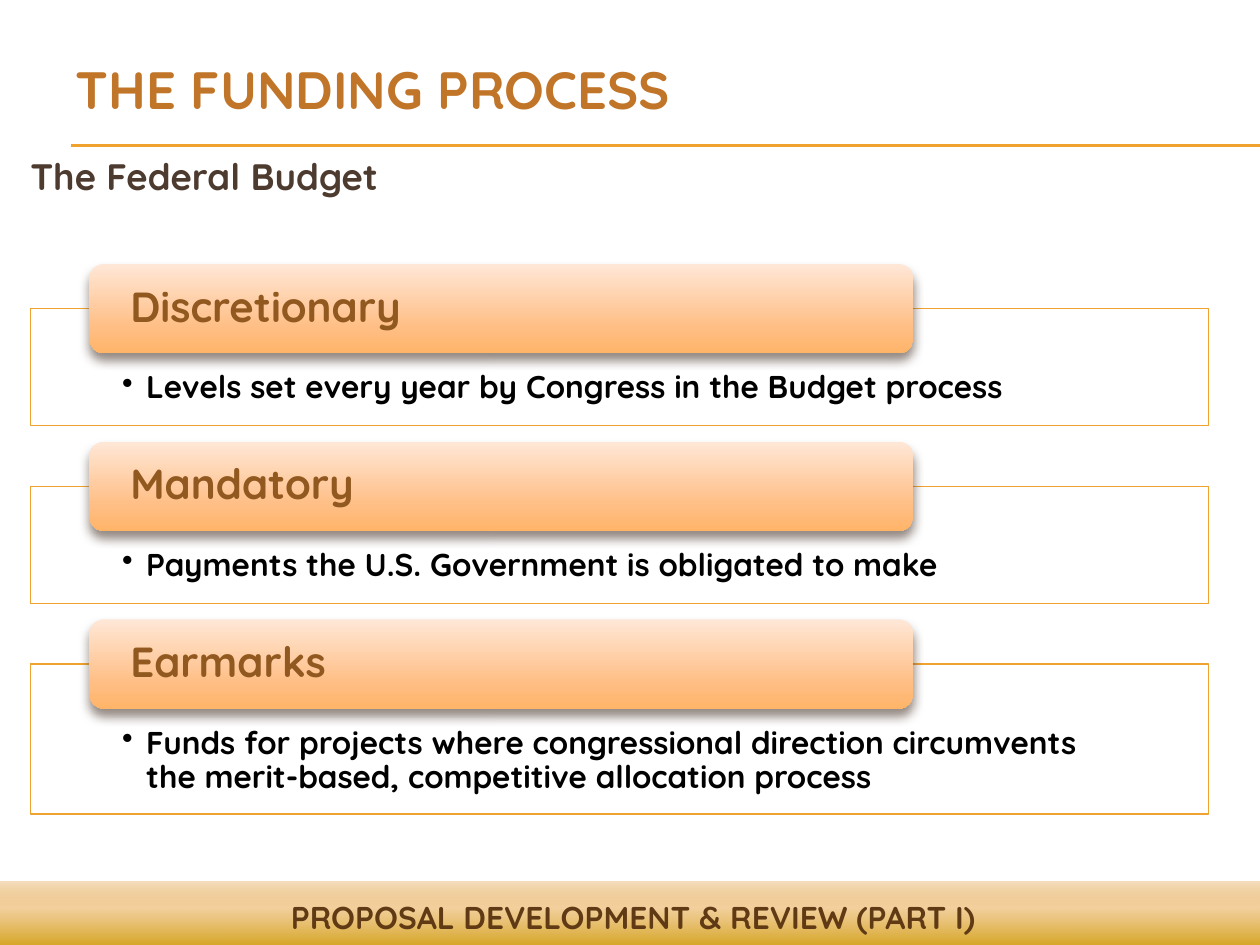
from dataclasses import dataclass
from typing import Any, NamedTuple

from lxml import etree
from pptx import Presentation
from pptx.dml.color import RGBColor
from pptx.enum.shapes import MSO_CONNECTOR, MSO_SHAPE
from pptx.enum.text import MSO_ANCHOR, MSO_AUTO_SIZE, PP_ALIGN
from pptx.oxml.ns import qn
from pptx.util import Inches, Pt

RECT, ROUND = MSO_SHAPE.RECTANGLE, MSO_SHAPE.ROUNDED_RECTANGLE
LINE = MSO_CONNECTOR.STRAIGHT
TOP, MID, LOW = MSO_ANCHOR.TOP, MSO_ANCHOR.MIDDLE, MSO_ANCHOR.BOTTOM
LEFT, MIDST = PP_ALIGN.LEFT, PP_ALIGN.CENTER
FIXED = MSO_AUTO_SIZE.NONE

# The slide is a grid of 100 columns by 75 rows
WIDE, HIGH = Inches(10), Inches(7.5)
COLS, ROWS = 100, 75


@dataclass(frozen=True)
class Theme:
    font: str = "Quicksand"
    gold: str = "F0A22E"
    title: str = "C17529"
    brown: str = "4E3B30"
    foot: str = "603A14"
    head: str = "91581F"
    ink: str = "000000"
    paper: str = "FFFFFF"
    title_pt: int = 30
    sub_pt: int = 21
    head_pt: int = 24
    text_pt: int = 18


class Box(NamedTuple):
    left: float
    top: float
    width: float
    height: float


class Stop(NamedTuple):
    pos: int
    color: str
    alpha: int = 100


class Card(NamedTuple):
    head: str
    text: str
    rows: float


THEME = Theme()
BAND = [Stop(0, "CC9900"), Stop(65, "EFC17E", 75), Stop(100, "D68000", 25)]
PEACH = [Stop(0, "FFE7D7"), Stop(72, "FFBE84"), Stop(100, "FFB468")]
CARDS = [
    Card("Discretionary", "Levels set every year by Congress in the Budget process", 9.3),
    Card("Mandatory", "Payments the U.S. Government is obligated to make", 9.3),
    Card("Earmarks", "Funds for projects where congressional direction circumvents "
         "the merit-based, competitive allocation process", 11.9),
]
FIRST, GAP, RISE = 24.5, 4.8, 3.55


def col(n: float) -> int:
    return round(WIDE * n / COLS)


def row(n: float) -> int:
    return round(HIGH * n / ROWS)


def spot(box: Box) -> tuple[int, int, int, int]:
    return col(box.left), row(box.top), col(box.width), row(box.height)


def apply(item: Any, **values: Any) -> None:
    for name, value in values.items():
        setattr(item, name, value)


def node(parent: Any, tag: str, **attrs: Any) -> Any:
    texts = {name: str(value) for name, value in attrs.items()}
    return etree.SubElement(parent, qn(tag), texts)


def tint(parent: Any, color: str, alpha: int) -> None:
    node(node(parent, "a:srgbClr", val=color), "a:alpha", val=alpha * 1000)


def blend(shape: Any, stops: list[Stop], angle: int) -> None:
    """Fill a shape with a linear gradient."""
    shape.fill.gradient()
    grad = shape.fill._xPr.find(qn("a:gradFill"))
    for child in list(grad):
        grad.remove(child)
    group = node(grad, "a:gsLst")
    for stop in stops:
        tint(node(group, "a:gs", pos=stop.pos * 1000), stop.color, stop.alpha)
    node(grad, "a:lin", ang=angle * 60000, scaled=0)


def block(slide: Any, kind: Any, box: Box) -> Any:
    shape = slide.shapes.add_shape(kind, *spot(box))
    shape.shadow.inherit = False
    shape.line.fill.background()
    return shape


def write(shape: Any, text: str, size: int, color: str, anchor: Any = TOP,
          align: Any = LEFT, pads: tuple = (1, 0.5, 1, 0.5), **form: Any) -> Any:
    """Set one styled paragraph, with insets in grid cells."""
    frame = shape.text_frame
    frame.text = text
    left, top, right, low = pads
    apply(frame, word_wrap=True, auto_size=FIXED, vertical_anchor=anchor,
          margin_left=col(left), margin_top=row(top),
          margin_right=col(right), margin_bottom=row(low))
    para = frame.paragraphs[0]
    apply(para, alignment=align, space_before=Pt(0), **form)
    font = para.runs[0].font
    apply(font, name=THEME.font, size=Pt(size), bold=True)
    font.color.rgb = RGBColor.from_string(color)
    return para


def indent(para: Any, left: float, first: float, mark: str = "") -> None:
    props = para._p.get_or_add_pPr()
    props.set("marL", str(col(left)))
    props.set("indent", str(col(first)))
    if mark:
        node(props, "a:buChar", char=mark)
    else:
        node(props, "a:buNone")


def rule(slide: Any, top: float) -> None:
    line = slide.shapes.add_connector(LINE, col(5.6), row(top), col(COLS), row(top))
    line.line.color.rgb = RGBColor.from_string(THEME.gold)
    line.line.width = Pt(0.75)
    node(line._element.spPr, "a:effectLst")


def panel(slide: Any, card: Card, top: float) -> None:
    # Outlined box with the bullet
    body = block(slide, RECT, Box(2.4, top, 93.5, card.rows))
    body.fill.solid()
    body.fill.fore_color.rgb = RGBColor.from_string(THEME.paper)
    paint = body.fill._xPr.find(qn("a:solidFill"))
    node(paint[0], "a:alpha", val=90000)
    body.line.color.rgb = RGBColor.from_string(THEME.gold)
    body.line.width = Pt(0.79)
    para = write(body, card.text, THEME.text_pt, THEME.ink,
                 pads=(7.3, 5, 7.3, 1.4), level=1, line_spacing=0.9)
    indent(para, 1.9, -1.9, "•")

    # Raised heading tab
    tab = block(slide, ROUND, Box(7.1, top - RISE, 65.4, 7.1))
    blend(tab, PEACH, 90)
    glow = node(tab._element.spPr.find(qn("a:effectLst")), "a:outerShdw",
                blurRad=Pt(6), dist=Pt(4), dir=90 * 60000, rotWithShape=0)
    tint(glow, THEME.brown, 60)
    write(tab, card.head, THEME.head_pt, THEME.head, MID,
          pads=(2.9, 0, 2.9, 0), line_spacing=0.9)


def main() -> None:
    deck = Presentation()
    apply(deck, slide_width=WIDE, slide_height=HIGH)
    slide = deck.slides.add_slide(deck.slide_layouts[1])

    # Rules under the title and footer band
    for top in (11.5, 11.6):
        rule(slide, top)
    band = block(slide, RECT, Box(-0.1, 70, 100.3, 5.8))
    blend(band, BAND, 270)
    foot = slide.shapes.add_textbox(*spot(Box(1.5, 70.8, 97.5, 4)))
    write(foot, "PROPOSAL DEVELOPMENT & REVIEW (PART I)", THEME.text_pt,
          THEME.foot, align=MIDST)

    # Title and subtitle
    title, sub = slide.shapes.title, slide.placeholders[1]
    for shape, box in ((title, Box(5, 3, 88.3, 7)), (sub, Box(-1.1, 11.7, 76.9, 5.8))):
        apply(shape, **dict(zip(Box._fields, spot(box))))
    write(title, "THE FUNDING PROCESS", THEME.title_pt, THEME.title, LOW)
    para = write(sub, "The Federal Budget", THEME.sub_pt, THEME.brown)
    indent(para, 2.5, 0)

    # Stack of cards
    top = FIRST
    for card in CARDS:
        panel(slide, card, top)
        top += card.rows + GAP

    deck.save("out.pptx")


if __name__ == "__main__":
    main()
